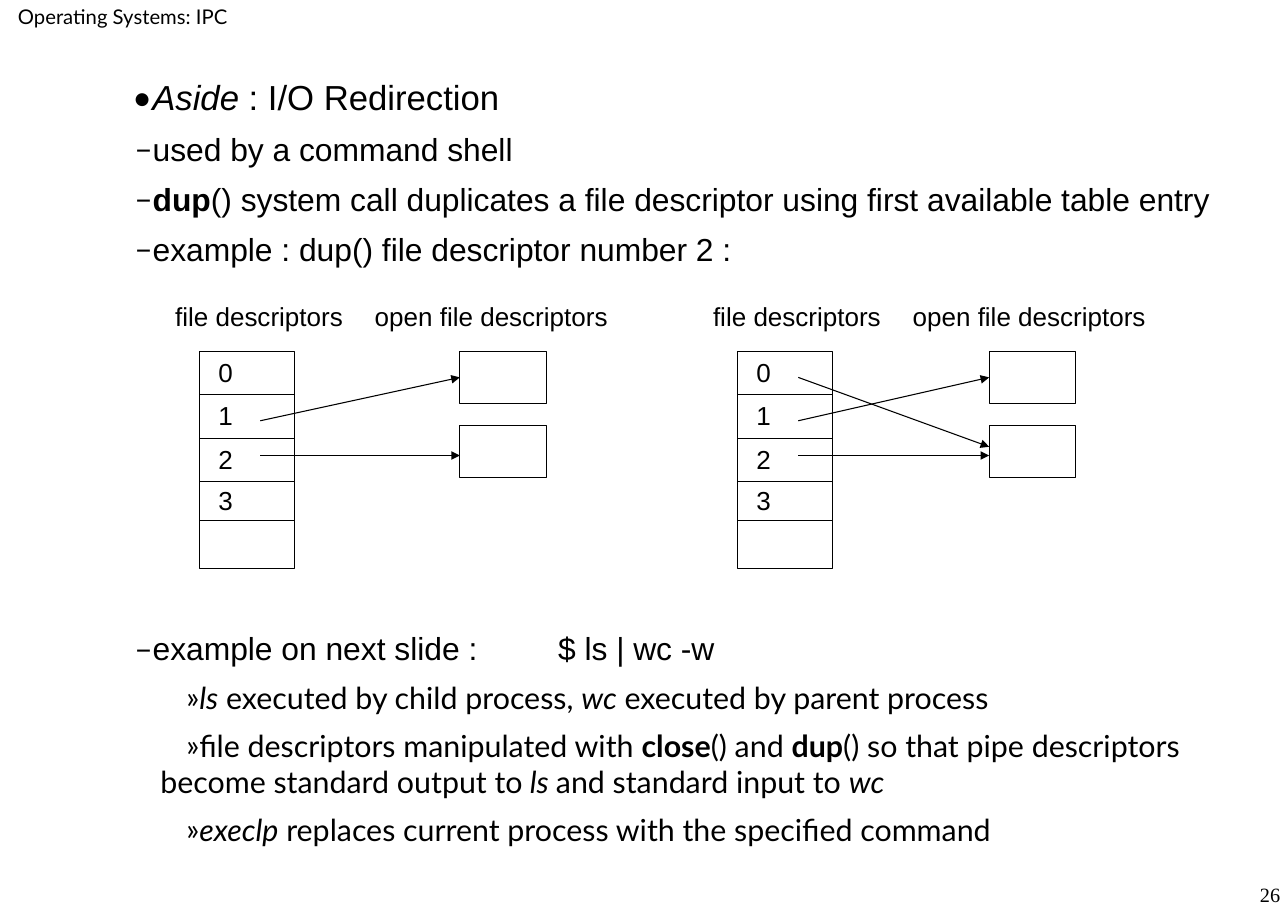
from lxml import etree
from pptx import Presentation
from pptx.dml.color import RGBColor
from pptx.enum.shapes import MSO_CONNECTOR, MSO_SHAPE
from pptx.enum.text import MSO_ANCHOR, PP_ALIGN
from pptx.oxml.ns import qn
from pptx.util import Inches, Pt

STRAIGHT = MSO_CONNECTOR.STRAIGHT
RECTANGLE = MSO_SHAPE.RECTANGLE
LEFT, CENTER, RIGHT = PP_ALIGN.LEFT, PP_ALIGN.CENTER, PP_ALIGN.RIGHT
TOP, BOTTOM = MSO_ANCHOR.TOP, MSO_ANCHOR.BOTTOM
LEFT_SIDE = 1

THEME = {
    "ink": RGBColor(0, 0, 0),
    "line": Pt(0.75),
    "body": "Arial",
    "detail": "Lato",
    "number": "Times New Roman",
    "label_size": 18,
    "margin_size": 14,
}
GRID = Inches(1) // 12  # the diagrams sit on a grid of twelve steps to the inch

presentation = Presentation()
presentation.slide_width, presentation.slide_height = Inches(12.37), Inches(8.75)
slide = presentation.slides.add_slide(presentation.slide_layouts[6])


def add_text(left, top, width, height, text, font=THEME["body"],
             size=THEME["label_size"], align=LEFT, anchor=TOP):
    """Add a one-line text box, measured in grid steps."""
    box = slide.shapes.add_textbox(*(round(n * GRID) for n in (left, top, width, height)))
    frame = box.text_frame
    frame.word_wrap = True
    frame.vertical_anchor = anchor
    paragraph = frame.paragraphs[0]
    paragraph.text = text
    paragraph.alignment = align
    paragraph.font.name, paragraph.font.size = font, Pt(size)
    paragraph.font.color.rgb = THEME["ink"]
    return frame


def add_line(x1, y1, x2, y2, arrow=False):
    """Add a straight line, measured in grid steps."""
    line = slide.shapes.add_connector(STRAIGHT, *(round(n * GRID) for n in (x1, y1, x2, y2)))
    line.line.color.rgb = THEME["ink"]
    line.line.width = THEME["line"]
    if arrow:
        etree.SubElement(line.line._get_or_add_ln(), qn("a:tailEnd"), type="triangle")
    etree.SubElement(line._element.spPr, qn("a:effectLst"))
    return line


# Outline: left margin, bullet indent, space before, bullet, font, size per level
LEVELS = [
    (0.48, 0.26, 0, "•", THEME["body"], 24),
    (0.51, 0.25, 8.2, "–", THEME["body"], 22),
    (1.01, 0.25, 7.9, "»", THEME["detail"], 21),
]
DIAGRAM_GAP = 250
COMMAND_TAB = 4.83
# Each item: level, then runs of text with "b" for bold and "i" for italic
OUTLINE = [
    (0, [("Aside ", "i"), (": I/O Redirection", "")]),
    (1, [("used by a command shell", "")]),
    (1, [("dup", "b"),
         ("() system call duplicates a file descriptor using first available table entry", "")]),
    (1, [("example : dup() file descriptor number 2 :", "")]),
    (1, [("example on next slide : \t$ ls | wc -w", "")]),
    (2, [("ls", "i"), (" executed by child process, ", ""), ("wc", "i"),
         (" executed by parent process", "")]),
    (2, [("file descriptors manipulated with ", ""), ("close", "b"), ("() and ", ""),
         ("dup", "b"), ("() so that pipe descriptors become standard output to", ""),
         (" ls ", "i"), ("and standard input to ", ""), ("wc", "i")]),
    (2, [("execlp", "i"), (" replaces current process with the specified command", "")]),
]

outline = slide.shapes.add_textbox(
    Inches(0.41), Inches(0.67), Inches(11.45), Inches(7.69)).text_frame
outline.word_wrap = True
outline.margin_left = outline.margin_right = Inches(0.12)
outline.margin_top = outline.margin_bottom = Inches(0.06)

for index, (level, runs) in enumerate(OUTLINE):
    margin, indent, space, bullet, font, size = LEVELS[level]
    paragraph = outline.add_paragraph() if index else outline.paragraphs[0]
    paragraph.level = level
    properties = paragraph._p.get_or_add_pPr()
    properties.set("marL", str(Inches(margin)))
    properties.set("indent", str(Inches(indent)))
    etree.SubElement(properties, qn("a:buFont"), typeface=THEME["detail"])
    etree.SubElement(properties, qn("a:buChar"), char=bullet)
    has_tab = any("\t" in text for text, style in runs)
    if has_tab:
        tabs = etree.SubElement(properties, qn("a:tabLst"))
        etree.SubElement(tabs, qn("a:tab"), pos=str(Inches(COMMAND_TAB)), algn="l")
    paragraph.space_before = Pt(DIAGRAM_GAP if has_tab else space)
    paragraph.font.name, paragraph.font.size = font, Pt(size)
    paragraph.font.color.rgb = THEME["ink"]
    for text, style in runs:
        run = paragraph.add_run()
        run.text = text
        if style:
            run.font.bold = style == "b"
            run.font.italic = style == "i"

# Diagrams before and after dup(): table left, open file left, arrows
# Each arrow: start row, end row, whether it meets the middle of the upper file
TABLE_TOP, TABLE_WIDTH, TABLE_HEIGHT = 40.5, 11, 25
ROW_LINES = [45.5, 50.5, 55.5, 60]
DIGIT_TOPS = [40.5, 45.5, 50.5, 55.25]
FILE_WIDTH, FILE_HEIGHT, FILE_PITCH = 10, 6, 8.5
KEPT_ARROWS = [(48.5, 43.5, True), (52.5, 52.5, False)]
DIAGRAMS = [
    (23, 53, KEPT_ARROWS),
    (85, 114, KEPT_ARROWS + [(43.5, 51.5, False)]),
]

for table_left, file_left, arrows in DIAGRAMS:
    add_text(table_left - 4, 34, 24, 4.8, "file descriptors")
    add_text(table_left + 19, 34, 32.3, 4.8, "open file descriptors")

    boxes = [(table_left, TABLE_TOP, TABLE_WIDTH, TABLE_HEIGHT)]
    boxes += [(file_left, TABLE_TOP + row * FILE_PITCH, FILE_WIDTH, FILE_HEIGHT)
              for row in range(2)]
    shapes = []
    for box in boxes:
        shape = slide.shapes.add_shape(RECTANGLE, *(round(n * GRID) for n in box))
        shape.shadow.inherit = False
        shape.fill.background()
        shape.line.color.rgb = THEME["ink"]
        shape.line.width = THEME["line"]
        shapes.append(shape)
    table, upper_file, lower_file = shapes

    for row_line in ROW_LINES:
        add_line(table_left, row_line, table_left + TABLE_WIDTH, row_line)
    for digit, digit_top in enumerate(DIGIT_TOPS):
        add_text(table_left + 1, digit_top, 9, 4.8, str(digit))
    for start, end, meets_middle in arrows:
        arrow = add_line(table_left + 7, start, file_left, end, arrow=True)
        if meets_middle:
            arrow.end_connect(upper_file, LEFT_SIDE)

# Header and slide number
header = add_text(0, 0, 28.3, 4.7, "Operating Systems: IPC",
                  THEME["detail"], THEME["margin_size"], CENTER)
number = add_text(139, 100.3, 9.5, 4.7, "26",
                  THEME["number"], THEME["margin_size"], RIGHT, BOTTOM)
for frame in (header, number):
    frame.margin_left = frame.margin_right = Inches(0.08)
    frame.margin_top = frame.margin_bottom = Inches(0.04)

presentation.save("out.pptx")
